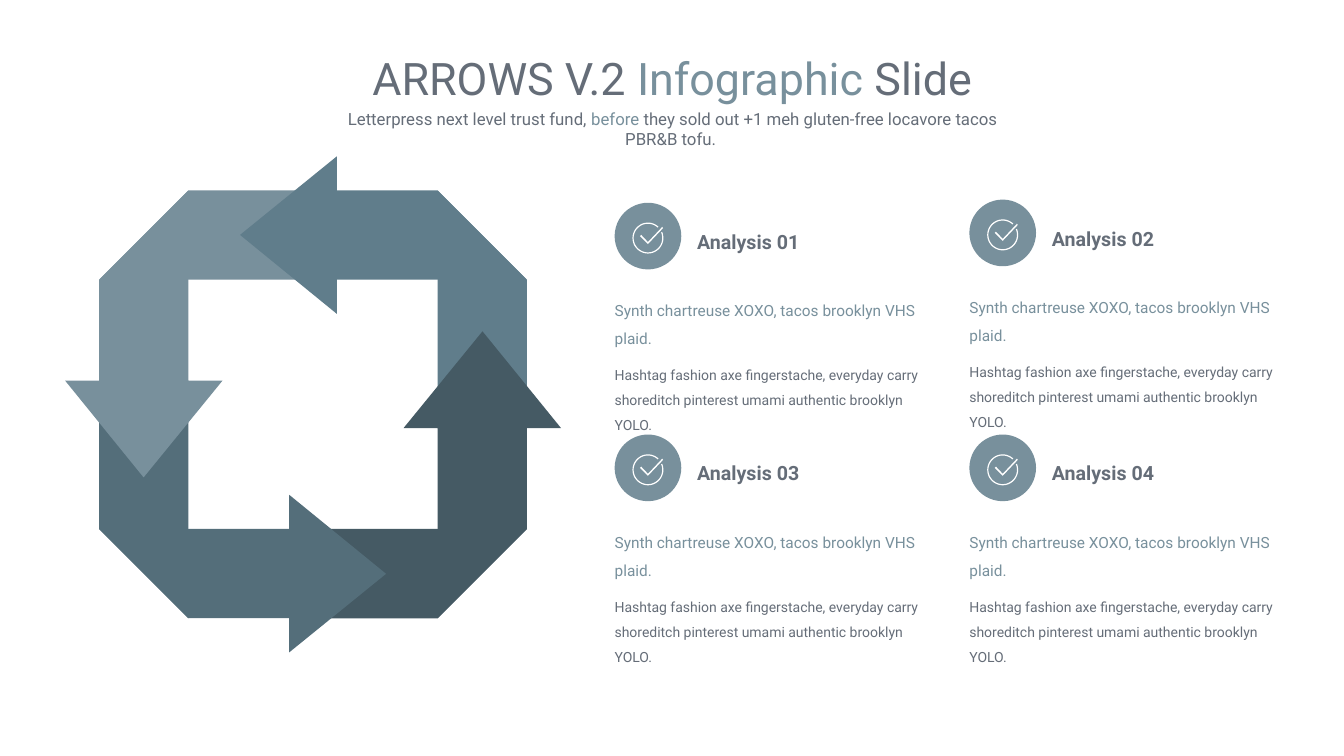
from math import cos, radians, sin

from pptx import Presentation
from pptx import util as u
from pptx.dml.color import RGBColor
from pptx.enum import shapes, text

GREY = RGBColor(0x65, 0x6D, 0x78)
WHITE = RGBColor(0xFF, 0xFF, 0xFF)
MIST = RGBColor(0x78, 0x90, 0x9C)
STEEL = RGBColor(0x60, 0x7D, 0x8B)
SLATE = RGBColor(0x54, 0x6E, 0x7A)
NIGHT = RGBColor(0x45, 0x5A, 0x64)

# Top arrow of the ring, in cm from the ring centre
RING_CENTRE = (7.89, 10.19)
BAND = [(3.14, -5.39), (3.14, 0.6), (5.39, 0.6), (5.39, -3.14)]
ARROW = [(5.39, -3.14), (3.14, -5.39), (0.6, -5.39), (0.6, -6.25),
         (-1.84, -4.27), (0.6, -2.28), (0.6, -3.14)]

# Check mark, in cm from the icon centre
TICK = [(0, 0.1), (-0.17, -0.08), (-0.2, -0.05), (0, 0.15),
        (0.38, -0.25), (0.36, -0.28)]

CARDS = [("Analysis 01", 15.49, 5.11), ("Analysis 02", 24.43, 5.03),
         ("Analysis 03", 15.49, 10.95), ("Analysis 04", 24.43, 10.95)]
LEAD = "Synth chartreuse XOXO, tacos brooklyn VHS plaid."
DETAIL = ("Hashtag fashion axe fingerstache, everyday carry shoreditch "
          "pinterest umami authentic brooklyn YOLO.")


def turned(points, quarters):
    """Rotate points counterclockwise by quarter turns."""
    for _ in range(quarters):
        points = [(y, -x) for x, y in points]
    return points


def arc(radius, angles):
    return [(radius * cos(radians(a)), radius * sin(radians(a))) for a in angles]


def apply(target, values):
    for name, value in values.items():
        setattr(target, name, value)


class SlideBuilder:
    font = "Roboto"

    def __init__(self, deck):
        self.page = deck.slides.add_slide(deck.slide_layouts[5])

    def place(self, box, left, top, width, height):
        apply(box, {"left": u.Cm(left), "top": u.Cm(top),
                    "width": u.Cm(width), "height": u.Cm(height)})

    def paint(self, shape, colour):
        shape.shadow.inherit = False
        shape.fill.solid()
        shape.fill.fore_color.rgb = colour
        shape.line.fill.background()
        return shape

    def add_spans(self, para, spans, size, bold=False, **layout):
        apply(para, layout)
        for words, colour in spans:
            span = para.add_run()
            span.text = words
            apply(span.font, {"name": self.font, "size": u.Pt(size), "bold": bold})
            span.font.color.rgb = colour

    def title(self, spans, *place):
        box = self.page.shapes.title
        self.place(box, *place)
        apply(box.text_frame, {"word_wrap": True,
                               "auto_size": text.MSO_AUTO_SIZE.NONE,
                               "vertical_anchor": text.MSO_ANCHOR.TOP})
        self.add_spans(box.text_frame.paragraphs[0], spans, 32, line_spacing=1.0,
                       alignment=text.PP_ALIGN.CENTER)

    def text_box(self, *place, **frame):
        box = self.page.shapes.add_textbox(0, 0, 0, 0)
        self.place(box, *place)
        apply(box.text_frame, {"word_wrap": True, **frame})
        return box

    def outline(self, contours, centre, colour):
        """Fill closed contours given in cm from a centre."""
        spots = [[(u.Cm(centre[0] + x), u.Cm(centre[1] + y)) for x, y in points]
                 for points in contours]
        builder = self.page.shapes.build_freeform(*spots[0][0])
        for number, points in enumerate(spots):
            if number:
                builder.move_to(*points[0])
            builder.add_line_segments(points[1:], close=True)
        return self.paint(builder.convert_to_shape(), colour)

    def group(self, members):
        self.page.shapes.add_group_shape(shapes=members)

    def ring(self):
        pieces = [(BAND, 0, STEEL)]
        for quarters, colour in ((3, NIGHT), (2, SLATE), (1, MIST)):
            pieces += [(BAND, quarters, colour), (ARROW, quarters, colour)]
        pieces.append((ARROW, 0, STEEL))
        self.group([self.outline([turned(points, quarters)], RING_CENTRE, colour)
                    for points, quarters, colour in pieces])

    def disc(self, left, top, size):
        shape = self.page.shapes.add_shape(
            shapes.MSO_SHAPE.ROUNDED_RECTANGLE, 0, 0, 0, 0)
        self.place(shape, left, top, size, size)
        shape.adjustments[0] = 0.5
        return self.paint(shape, MIST)

    def check_icon(self, x, y):
        angles = range(-23, 316, 6)
        circle = arc(0.39, angles) + arc(0.36, reversed(angles))
        return self.outline([circle, TICK], (x, y), WHITE)

    def card(self, name, left, top):
        flush = dict.fromkeys(
            ("margin_left", "margin_top", "margin_right", "margin_bottom"), 0)
        disc = self.disc(left, top, 1.68)
        heading = self.text_box(left + 2.08, top + 0.53, 4.9, 0.71, **flush,
                                vertical_anchor=text.MSO_ANCHOR.MIDDLE,
                                auto_size=text.MSO_AUTO_SIZE.SHAPE_TO_FIT_TEXT)
        self.add_spans(heading.text_frame.paragraphs[0], [(name, GREY)], 14,
                       bold=True, line_spacing=1.3)
        body = self.text_box(left, top + 2.25, 7.86, 2.21, **flush)
        self.add_spans(body.text_frame.paragraphs[0], [(LEAD, MIST)], 11,
                       line_spacing=1.5)
        self.add_spans(body.text_frame.add_paragraph(), [(DETAIL, GREY)], 10,
                       line_spacing=1.5, space_before=u.Pt(7.5))
        icon = self.check_icon(left + 0.84, top + 0.89)
        self.group([disc, heading, body, icon])


def main():
    deck = Presentation()
    apply(deck, {"slide_width": u.Cm(33.87), "slide_height": u.Cm(19.05)})
    slide = SlideBuilder(deck)
    slide.title([("ARROWS V.2 ", GREY), ("Infographic ", MIST), ("Slide", GREY)],
                6.45, 1.14, 20.98, 1.63)
    subtitle = slide.text_box(8.13, 2.62, 17.65, 0.76)
    slide.add_spans(subtitle.text_frame.paragraphs[0],
                    [("Letterpress next level trust fund, ", GREY),
                     ("before", MIST),
                     (" they sold out +1 meh gluten-free locavore tacos "
                      "PBR&B tofu. ", GREY)],
                    12, alignment=text.PP_ALIGN.CENTER)
    slide.ring()
    for card in CARDS:
        slide.card(*card)
    deck.save("out.pptx")


if __name__ == "__main__":
    main()
